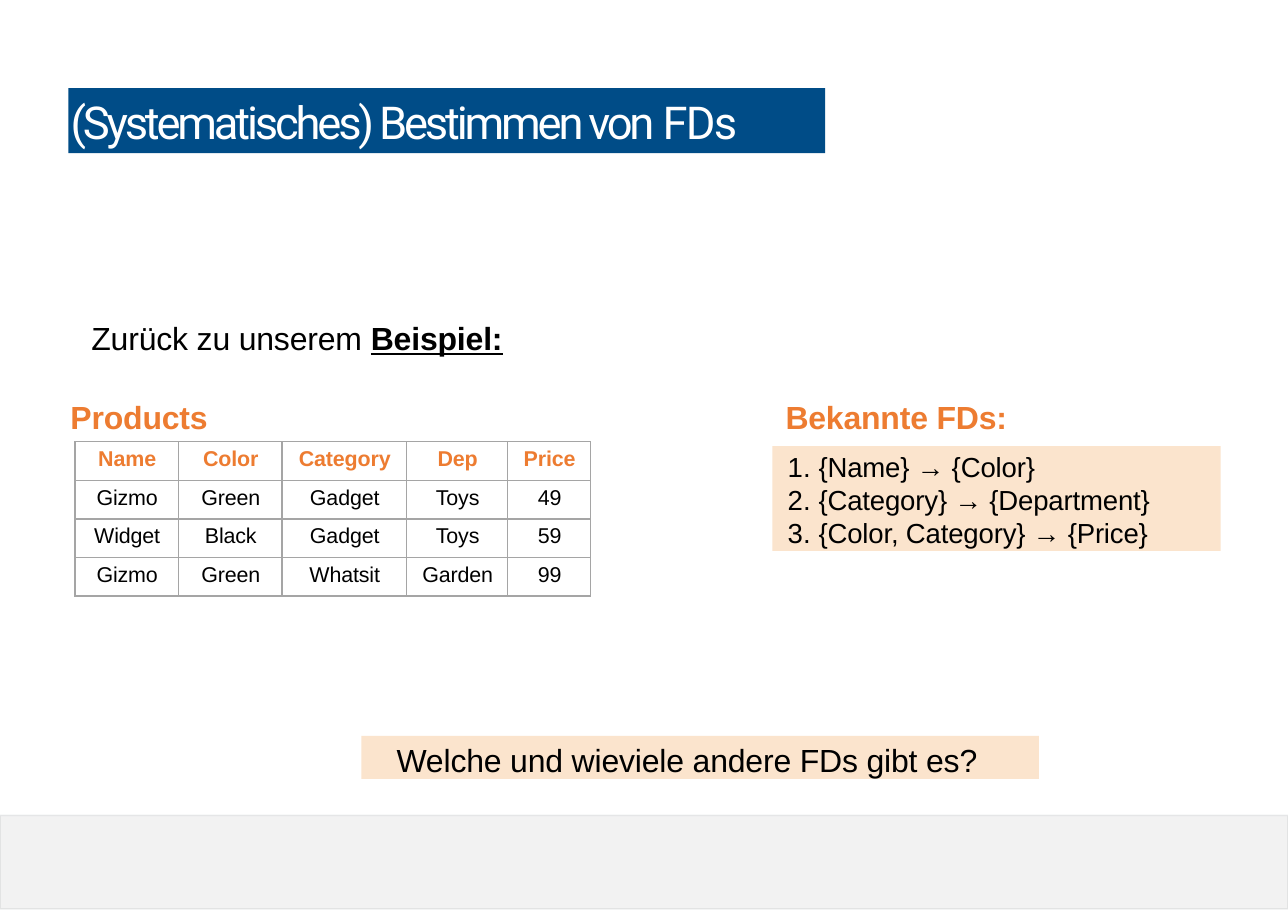
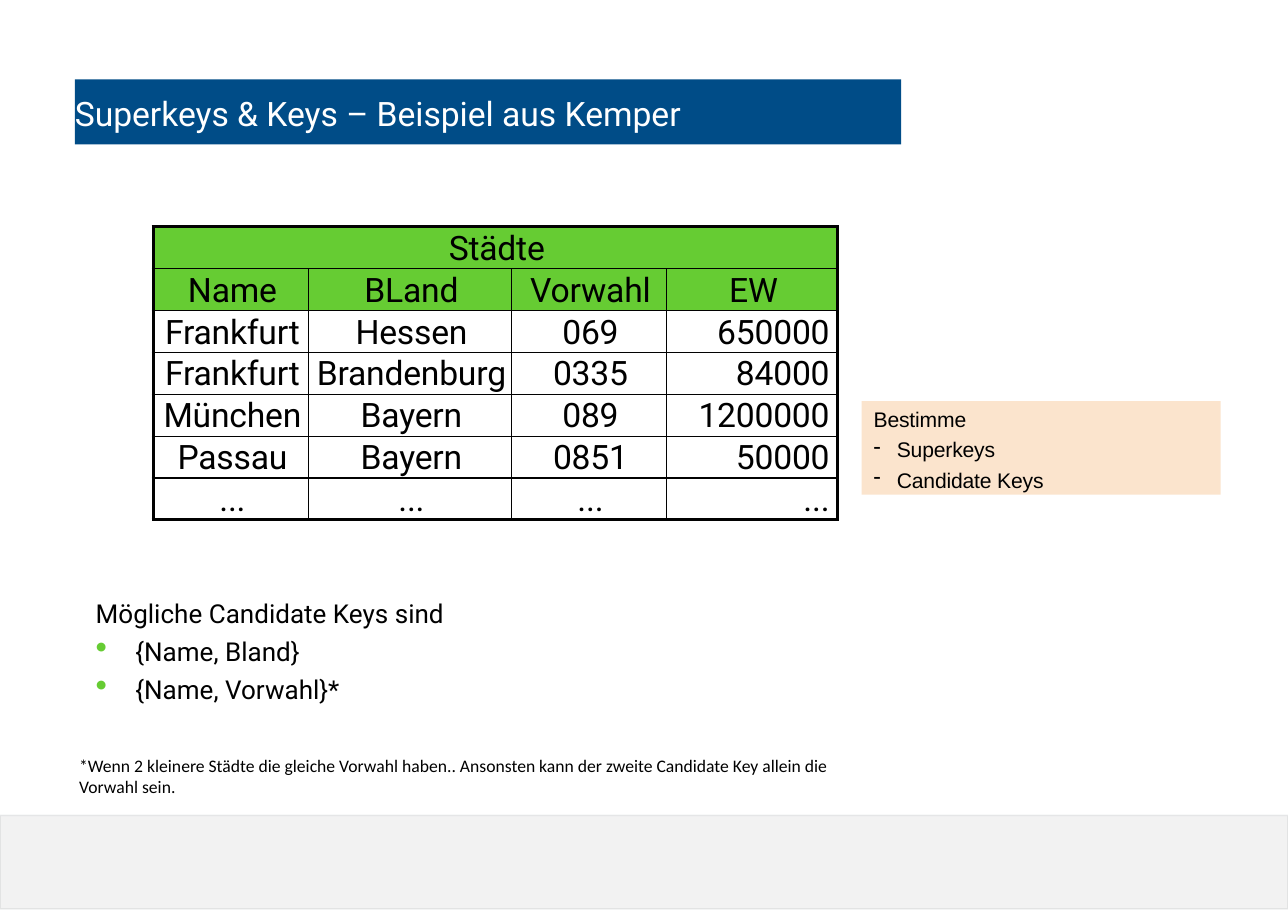
from dataclasses import dataclass
from typing import Optional

import lxml.etree
import pptx
import pptx.dml.color
import pptx.enum.shapes
import pptx.enum.text
import pptx.oxml.ns
import pptx.util

Inches = pptx.util.Inches
Pt = pptx.util.Pt
Align = pptx.enum.text.PP_ALIGN
Anchor = pptx.enum.text.MSO_ANCHOR
qn = pptx.oxml.ns.qn


# Theme
@dataclass(frozen=True)
class Theme:
    blue: str = "004C87"
    orange: str = "ED7C31"
    peach: str = "FBE4CD"
    green: str = "66CC33"
    black: str = "000000"
    white: str = "FFFFFF"
    footer: str = "F2F2F2"
    footer_line: str = "889194"
    thin_grid: str = "A5A5A5"
    dark_grid: str = "010101"
    sans: str = "Arial"
    display: str = "Roboto"
    note: str = "Calibri"
    wide_title: float = 29.6
    title: float = 22
    lead: float = 20.9
    rule: float = 18
    body: float = 17
    cell: float = 14
    task: float = 13.8
    footnote: float = 11.5
    tight: float = -0.1


THEME = Theme()


@dataclass(frozen=True)
class Box:
    left: float
    top: float
    width: float
    height: float

    def lengths(self) -> tuple:
        return tuple(Inches(value) for value in (self.left, self.top, self.width, self.height))


@dataclass(frozen=True)
class Bullet:
    tag: str
    attribute: str
    value: str
    color: Optional[str] = None
    percent: int = 100


NUMBER = Bullet("a:buAutoNum", "type", "arabicPeriod")
DASH = Bullet("a:buChar", "char", "-")
DOT = Bullet("a:buChar", "char", "•", THEME.green, 130)


@dataclass(frozen=True)
class Grid:
    box: Box
    widths: tuple
    color: str
    outline: float
    size: float
    font: str
    insets: tuple
    header_rows: int
    header_color: str = THEME.black
    header_bold: bool = False
    header_fill: Optional[str] = None
    right_column: Optional[int] = None


def rgb(value: str):
    return pptx.dml.color.RGBColor.from_string(value)


def child(parent, tag: str, **attributes):
    return lxml.etree.SubElement(parent, qn(tag), **attributes)


# Text
def add_run(paragraph, text: str, *, size: float, font: str = THEME.sans,
            color: str = THEME.black, bold: bool = False,
            underline: bool = False, spacing: float = 0) -> None:
    run = paragraph.add_run()
    run.text = text
    run.font.size = Pt(size)
    run.font.name = font
    run.font.bold = bold
    run.font.underline = underline
    run.font.color.rgb = rgb(color)
    if spacing:
        run._r.get_or_add_rPr().set("spc", str(round(spacing * 100)))


def format_paragraph(paragraph, *, align=Align.LEFT, line=None, before: float = 0,
                     bullet: Optional[Bullet] = None, left: float = 0,
                     hanging: float = 0) -> None:
    if bullet:
        properties = paragraph._p.get_or_add_pPr()
        properties.set("marL", str(Inches(left)))
        properties.set("indent", str(-Inches(hanging)))
        if bullet.color:
            child(child(properties, "a:buClr"), "a:srgbClr", val=bullet.color)
        child(properties, "a:buSzPct", val=str(bullet.percent * 1000))
        child(properties, bullet.tag, **{bullet.attribute: bullet.value})
    paragraph.alignment = align
    paragraph.space_before = Pt(before)
    if line:
        paragraph.line_spacing = line


def set_frame(frame, insets: tuple, anchor=Anchor.TOP) -> None:
    frame.word_wrap = True
    frame.auto_size = pptx.enum.text.MSO_AUTO_SIZE.NONE
    frame.vertical_anchor = anchor
    frame.margin_left, frame.margin_top, frame.margin_right, frame.margin_bottom = (
        Inches(value) for value in insets)


# Shapes
def add_panel(slide, box: Box, fill: str):
    panel = slide.shapes.add_shape(pptx.enum.shapes.MSO_SHAPE.RECTANGLE, *box.lengths())
    panel.shadow.inherit = False
    panel.fill.solid()
    panel.fill.fore_color.rgb = rgb(fill)
    panel.line.fill.background()
    return panel


def add_text(slide, box: Box, text: str, *, fill: Optional[str] = None,
             insets: tuple = (0.02, 0.02, 0, 0), **format):
    shape = add_panel(slide, box, fill) if fill else slide.shapes.add_textbox(*box.lengths())
    set_frame(shape.text_frame, insets)
    paragraph = shape.text_frame.paragraphs[0]
    format_paragraph(paragraph)
    add_run(paragraph, text, **format)
    return shape


def add_list(slide, box: Box, items: list, *, bullet: Bullet, left: float, hanging: float,
             insets: tuple, line, before: float = 0, heading: Optional[str] = None,
             heading_left: float = 0, fill: Optional[str] = None, **format) -> None:
    shape = add_panel(slide, box, fill) if fill else slide.shapes.add_textbox(*box.lengths())
    frame = shape.text_frame
    set_frame(frame, insets)
    lines = ([heading] if heading else []) + items
    for index, text in enumerate(lines):
        paragraph = frame.add_paragraph() if index else frame.paragraphs[0]
        space = before if index else 0
        if heading and index == 0:
            format_paragraph(paragraph, line=line, before=space)
            paragraph._p.get_or_add_pPr().set("marL", str(Inches(heading_left)))
        else:
            format_paragraph(paragraph, line=line, before=space, bullet=bullet,
                             left=left, hanging=hanging)
        add_run(paragraph, text, **format)


# Tables
def set_borders(cell, color: str, widths: dict) -> None:
    properties = cell._tc.get_or_add_tcPr()
    for position, (side, width) in enumerate(widths.items()):
        line = lxml.etree.Element(qn(f"a:ln{side}"), w=str(Pt(width)))
        child(child(line, "a:solidFill"), "a:srgbClr", val=color)
        properties.insert(position, line)


def add_grid(slide, grid: Grid, rows: list) -> None:
    last_row, last_column = len(rows) - 1, len(grid.widths) - 1
    table = slide.shapes.add_table(len(rows), len(grid.widths), *grid.box.lengths()).table
    table.first_row = table.horz_banding = False
    for column, width in zip(table.columns, grid.widths):
        column.width = Inches(width)
    for row_index, texts in enumerate(rows):
        if len(texts) == 1:
            table.cell(row_index, 0).merge(table.cell(row_index, last_column))
        header = row_index < grid.header_rows
        for column_index in range(len(grid.widths)):
            cell = table.cell(row_index, column_index)
            cell.margin_left, cell.margin_top, cell.margin_right, cell.margin_bottom = (
                Inches(value) for value in grid.insets)
            if header and grid.header_fill:
                cell.fill.solid()
                cell.fill.fore_color.rgb = rgb(grid.header_fill)
            else:
                cell.fill.background()
            end = last_column if len(texts) == 1 else column_index
            outer = {"L": column_index == 0, "R": end == last_column,
                     "T": row_index == 0, "B": row_index == last_row}
            set_borders(cell, grid.color,
                        {side: grid.outline if edge else 1 for side, edge in outer.items()})
            if column_index >= len(texts):
                continue
            paragraph = cell.text_frame.paragraphs[0]
            right = column_index == grid.right_column and not header
            if right:
                cell.margin_right = Inches(0.07)
            format_paragraph(paragraph, align=Align.RIGHT if right else Align.CENTER)
            add_run(paragraph, texts[column_index], size=grid.size, font=grid.font,
                    color=grid.header_color if header else THEME.black,
                    bold=header and grid.header_bold, spacing=THEME.tight)


# Shared title and footer
def add_titled_slide(presentation, box: Box, runs: list, *, size: float, inset: float = 0):
    slide = presentation.slides.add_slide(presentation.slide_layouts[5])
    title = slide.shapes.title
    title.left, title.top, title.width, title.height = box.lengths()
    title.fill.solid()
    title.fill.fore_color.rgb = rgb(THEME.blue)
    set_frame(title.text_frame, (inset, 0.02, 0, 0), Anchor.MIDDLE)
    paragraph = title.text_frame.paragraphs[0]
    format_paragraph(paragraph)
    for text, spacing in runs:
        add_run(paragraph, text, size=size, font=THEME.display, color=THEME.white,
                spacing=spacing)
    return slide


def move_footer_to_layout(slide) -> None:
    band = add_panel(slide, Box(0, 7.4, 11.69, 0.85), THEME.footer)
    band.line.color.rgb = rgb(THEME.footer_line)
    band.line.width = Pt(1)
    color = band.element.find(".//" + qn("a:ln")).find(".//" + qn("a:srgbClr"))
    child(color, "a:alpha", val="15000")
    band.element.nvSpPr.cNvPr.set("id", "20")
    slide.slide_layout.shapes.element.insert(2, band.element)


# Slides
def build_dependencies(presentation) -> None:
    slide = add_titled_slide(presentation, Box(0.62, 0.8, 6.87, 0.59),
                             [("(Systematisches) Bestimmen von ", -2.1), ("FDs", -1.2)],
                             size=THEME.wide_title, inset=0.02)
    move_footer_to_layout(slide)
    lead = {"size": THEME.lead, "spacing": THEME.tight}
    intro = add_text(slide, Box(0.81, 2.87, 4.55, 0.37), "Zurück zu unserem ", **lead)
    add_run(intro.text_frame.paragraphs[0], "Beispiel:", bold=True, underline=True, **lead)
    for left, width, label in ((0.62, 1.4, "Products"), (7.11, 2.57, "Bekannte FDs:")):
        add_text(slide, Box(left, 3.59, width, 0.37), label, color=THEME.orange,
                 bold=True, **lead)
    products = Grid(Box(0.68, 4.01, 4.68, 1.4), (0.94, 0.94, 1.13, 0.92, 0.75),
                    THEME.thin_grid, 1, THEME.cell, THEME.sans, (0.01, 0.05, 0, 0), 1,
                    header_color=THEME.orange, header_bold=True)
    add_grid(slide, products, [
        ["Name", "Color", "Category", "Dep", "Price"],
        ["Gizmo", "Green", "Gadget", "Toys", "49"],
        ["Widget", "Black", "Gadget", "Toys", "59"],
        ["Gizmo", "Green", "Whatsit", "Garden", "99"],
    ])
    add_list(slide, Box(7.01, 4.05, 4.07, 0.95),
             ["{Name} → {Color}", "{Category} → {Department}", "{Color, Category} → {Price}"],
             bullet=NUMBER, left=0.42, hanging=0.28, insets=(0, 0.04, 0, 0), line=Pt(21.4),
             fill=THEME.peach, size=THEME.rule, spacing=THEME.tight)
    add_text(slide, Box(3.28, 6.68, 6.15, 0.39), "Welche und wieviele andere FDs gibt es?",
             fill=THEME.peach, insets=(0.32, 0.04, 0, 0), **lead)


def build_keys(presentation) -> None:
    slide = add_titled_slide(presentation, Box(0.68, 0.72, 7.5, 0.59),
                             [("Superkeys & Keys – Beispiel aus Kemper", 0)],
                             size=THEME.title)
    cities = Grid(Box(1.39, 2.06, 6.21, 2.66), (1.41, 1.84, 1.41, 1.55),
                  THEME.dark_grid, 2.25, THEME.title, THEME.display, (0.03, 0.02, 0, 0), 2,
                  header_fill=THEME.green, right_column=3)
    add_grid(slide, cities, [
        ["Städte"],
        ["Name", "BLand", "Vorwahl", "EW"],
        ["Frankfurt", "Hessen", "069", "650000"],
        ["Frankfurt", "Brandenburg", "0335", "84000"],
        ["München", "Bayern", "089", "1200000"],
        ["Passau", "Bayern", "0851", "50000"],
        ["..."] * 4,
    ])
    add_list(slide, Box(0.77, 5.43, 9.65, 1.05), ["{Name, Bland}", "{Name, Vorwahl}*"],
             heading="Mögliche Candidate Keys sind", bullet=DOT, left=0.36, hanging=0.36,
             insets=(0.1, 0.05, 0.1, 0.05), line=0.8, before=8.6,
             size=THEME.body, font=THEME.display)
    add_text(slide, Box(0.62, 6.8, 7.49, 0.49),
             "*Wenn 2 kleinere Städte die gleiche Vorwahl haben.. Ansonsten kann der zweite "
             "Candidate Key allein die Vorwahl sein.",
             insets=(0.1, 0.05, 0.1, 0.05), size=THEME.footnote, font=THEME.note)
    add_list(slide, Box(7.82, 3.64, 3.26, 0.85), ["Superkeys", "Candidate Keys"],
             heading="Bestimme", heading_left=0.11, bullet=DASH, left=0.32, hanging=0.21,
             insets=(0, 0.05, 0, 0), line=Pt(16.3), before=3.6, fill=THEME.peach,
             size=THEME.task, spacing=THEME.tight)


def main() -> None:
    presentation = pptx.Presentation()
    presentation.slide_width, presentation.slide_height = Inches(11.69), Inches(8.26)
    build_dependencies(presentation)
    build_keys(presentation)
    presentation.save("out.pptx")


if __name__ == "__main__":
    main()
